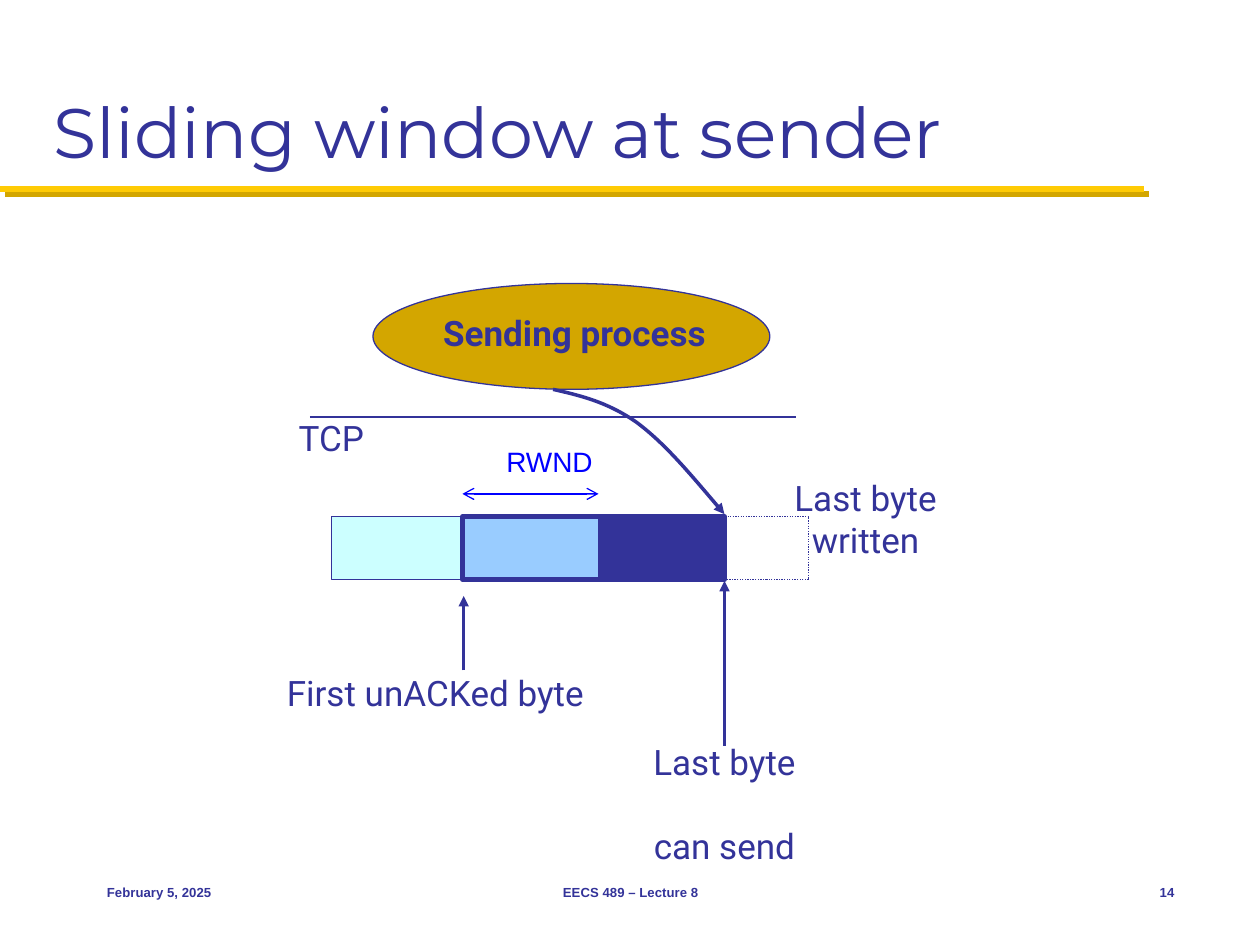
from dataclasses import dataclass
from typing import Optional

from lxml.etree import SubElement
from pptx import Presentation
from pptx.dml.color import RGBColor
from pptx.enum.dml import MSO_LINE
from pptx.enum.shapes import MSO_CONNECTOR, MSO_SHAPE
from pptx.enum.text import MSO_ANCHOR, PP_ALIGN
from pptx.oxml.ns import qn
from pptx.util import Inches, Pt

NAVY = RGBColor(0x33, 0x33, 0x99)
MAIZE = RGBColor(0xFF, 0xCB, 0x05)
GOLD = RGBColor(0xD3, 0xA6, 0x00)
PALE_CYAN = RGBColor(0xCC, 0xFF, 0xFF)
SKY = RGBColor(0x99, 0xCC, 0xFF)
BLUE = RGBColor(0x00, 0x00, 0xFF)

# Positions shared by the buffer, its arrows and its window
BUFFER_TOP = 4.1
WINDOW_LEFT, SENT_END, WINDOW_END = 3.67, 4.75, 5.75


@dataclass
class Block:
    left: float
    top: float
    width: float
    height: float
    fill: Optional[RGBColor] = None
    line_width: float = 0.75
    preset: MSO_SHAPE = MSO_SHAPE.RECTANGLE
    dash: Optional[MSO_LINE] = None


@dataclass
class Line:
    start: tuple[float, float]
    end: tuple[float, float]
    width: float = 0.75
    color: RGBColor = NAVY
    head: Optional[str] = None
    tail: Optional[str] = None


@dataclass
class Label:
    lines: tuple[str, ...]
    left: float
    top: float
    width: float
    height: float
    size: float = 20
    font: str = "Roboto"
    color: RGBColor = NAVY
    bold: bool = False
    align: PP_ALIGN = PP_ALIGN.CENTER
    anchor: MSO_ANCHOR = MSO_ANCHOR.TOP
    wrap: bool = False
    side_inset: float = 0.1


@dataclass
class Footer:
    text: str
    left: float
    width: float
    align: PP_ALIGN


def add_block(shapes, block: Block) -> None:
    shape = shapes.add_shape(block.preset, Inches(block.left), Inches(block.top),
                             Inches(block.width), Inches(block.height))
    shape.shadow.inherit = False
    if block.fill is None:
        shape.fill.background()
    else:
        shape.fill.solid()
        shape.fill.fore_color.rgb = block.fill
    shape.line.color.rgb = NAVY
    shape.line.width = Pt(block.line_width)
    if block.dash is not None:
        shape.line.dash_style = block.dash


def add_arrowheads(shape, head: Optional[str], tail: Optional[str]) -> None:
    outline = shape.line._get_or_add_ln()
    for tag, kind in (("a:headEnd", head), ("a:tailEnd", tail)):
        if kind:
            SubElement(outline, qn(tag), type=kind)


def add_line(shapes, line: Line):
    """Draw a line and return its effect list, which is empty."""
    connector = shapes.add_connector(MSO_CONNECTOR.STRAIGHT,
                                     *map(Inches, line.start + line.end))
    connector.line.color.rgb = line.color
    connector.line.width = Pt(line.width)
    add_arrowheads(connector, line.head, line.tail)
    return SubElement(connector._element.spPr, qn("a:effectLst"))


def add_curved_arrow(shapes, start: tuple, controls: list[tuple]) -> None:
    builder = shapes.build_freeform(*map(Inches, start), scale=1.0)
    builder.add_line_segments([tuple(map(Inches, point)) for point in controls], close=False)
    curve = builder.convert_to_shape()
    # Every three straight segments become one Bezier segment
    segments = list(curve._element.iter(qn("a:lnTo")))
    for index in range(0, len(segments), 3):
        bezier = SubElement(segments[index].getparent(), qn("a:cubicBezTo"))
        for segment in segments[index:index + 3]:
            bezier.append(segment[0])
            segment.getparent().remove(segment)
    curve.shadow.inherit = False
    curve.fill.background()
    curve.line.color.rgb = NAVY
    curve.line.width = Pt(2)
    add_arrowheads(curve, None, "triangle")


def add_label(shapes, label: Label) -> None:
    box = shapes.add_textbox(Inches(label.left), Inches(label.top),
                             Inches(label.width), Inches(label.height))
    frame = box.text_frame
    frame.word_wrap = label.wrap
    frame.vertical_anchor = label.anchor
    frame.margin_left = frame.margin_right = Inches(label.side_inset)
    for index, text in enumerate(label.lines):
        paragraph = frame.add_paragraph() if index else frame.paragraphs[0]
        paragraph.text = text
        paragraph.alignment = label.align
        if index:
            paragraph.space_before = Pt(24)
        paragraph.font.size = Pt(label.size)
        paragraph.font.name = label.font
        paragraph.font.bold = label.bold
        paragraph.font.color.rgb = label.color


BLOCKS = [
    Block(2.96, 2.25, 3.15, 0.84, GOLD, preset=MSO_SHAPE.OVAL),
    Block(2.63, BUFFER_TOP, 1.05, 0.5, PALE_CYAN),
    Block(WINDOW_LEFT, BUFFER_TOP, WINDOW_END - WINDOW_LEFT, 0.5, SKY, 2.5),
    Block(WINDOW_END, BUFFER_TOP, 0.67, 0.5, dash=MSO_LINE.ROUND_DOT),
    Block(SENT_END, BUFFER_TOP, WINDOW_END - SENT_END, 0.48, NAVY),
]
LINES = [
    Line((2.46, 3.31), (6.32, 3.31)),
    Line((3.68, 5.32), (3.68, 4.73), 1.5, tail="triangle"),
    Line((WINDOW_END, 5.92), (WINDOW_END, 4.61), 1.5, tail="triangle"),
    Line((WINDOW_LEFT, 3.92), (SENT_END, 3.92), color=BLUE, head="arrow", tail="arrow"),
]
LABELS = [
    Label(("Sending process",), 3.34, 2.42, 2.44, 0.43, bold=True),
    Label(("First unACKed byte",), 2.14, 5.28, 2.63, 0.44),
    Label(("Last byte", "can send"), 5.08, 5.83, 1.34, 0.77),
    Label(("TCP",), 2.25, 3.26, 0.76, 0.43),
    Label(("Last byte written",), 5.75, 3.73, 2.24, 0.44, wrap=True, side_inset=0.25),
    Label(("RWND",), 3.92, 3.48, 0.89, 0.37, 16, "Arial", BLUE, align=PP_ALIGN.LEFT),
]
FOOTERS = [
    Footer("February 5, 2025", 0.75, 2.08, PP_ALIGN.LEFT),
    Footer("EECS 489 – Lecture 8", 3.42, 3.17, PP_ALIGN.CENTER),
    Footer("14", 8.75, 0.67, PP_ALIGN.RIGHT),
]


def main() -> None:
    presentation = Presentation()
    presentation.slide_width, presentation.slide_height = Inches(10), Inches(7.5)
    slide = presentation.slides.add_slide(presentation.slide_layouts[6])
    shapes = slide.shapes

    # Title and its shadowed rule
    effects = add_line(shapes, Line((0, 1.5), (9.08, 1.5), 3.5, MAIZE))
    shadow = SubElement(effects, qn("a:outerShdw"), dist=str(Pt(4.2)),
                        dir=str(45 * 60000), algn="ctr", rotWithShape="0")
    SubElement(shadow, qn("a:srgbClr"), val=str(GOLD))
    add_label(shapes, Label(("Sliding window at sender",), 0.33, 0.17, 9.33, 1.25, 40,
                            "Montserrat", align=PP_ALIGN.LEFT,
                            anchor=MSO_ANCHOR.BOTTOM, wrap=True))

    # Sending process, buffer and arrows
    for block in BLOCKS:
        add_block(shapes, block)
    for line in LINES:
        add_line(shapes, line)
    add_curved_arrow(shapes, (4.39, 3.09), [(4.61, 3.14), (4.82, 3.19), (5.05, 3.35),
                                            (5.28, 3.52), (5.51, 3.8), (5.75, 4.08)])
    for label in LABELS:
        add_label(shapes, label)

    # Footer
    for footer in FOOTERS:
        add_label(shapes, Label((footer.text,), footer.left, 6.83, footer.width, 0.5, 7.5,
                                "Arial", bold=True, align=footer.align,
                                anchor=MSO_ANCHOR.MIDDLE))

    presentation.save("out.pptx")


if __name__ == "__main__":
    main()
